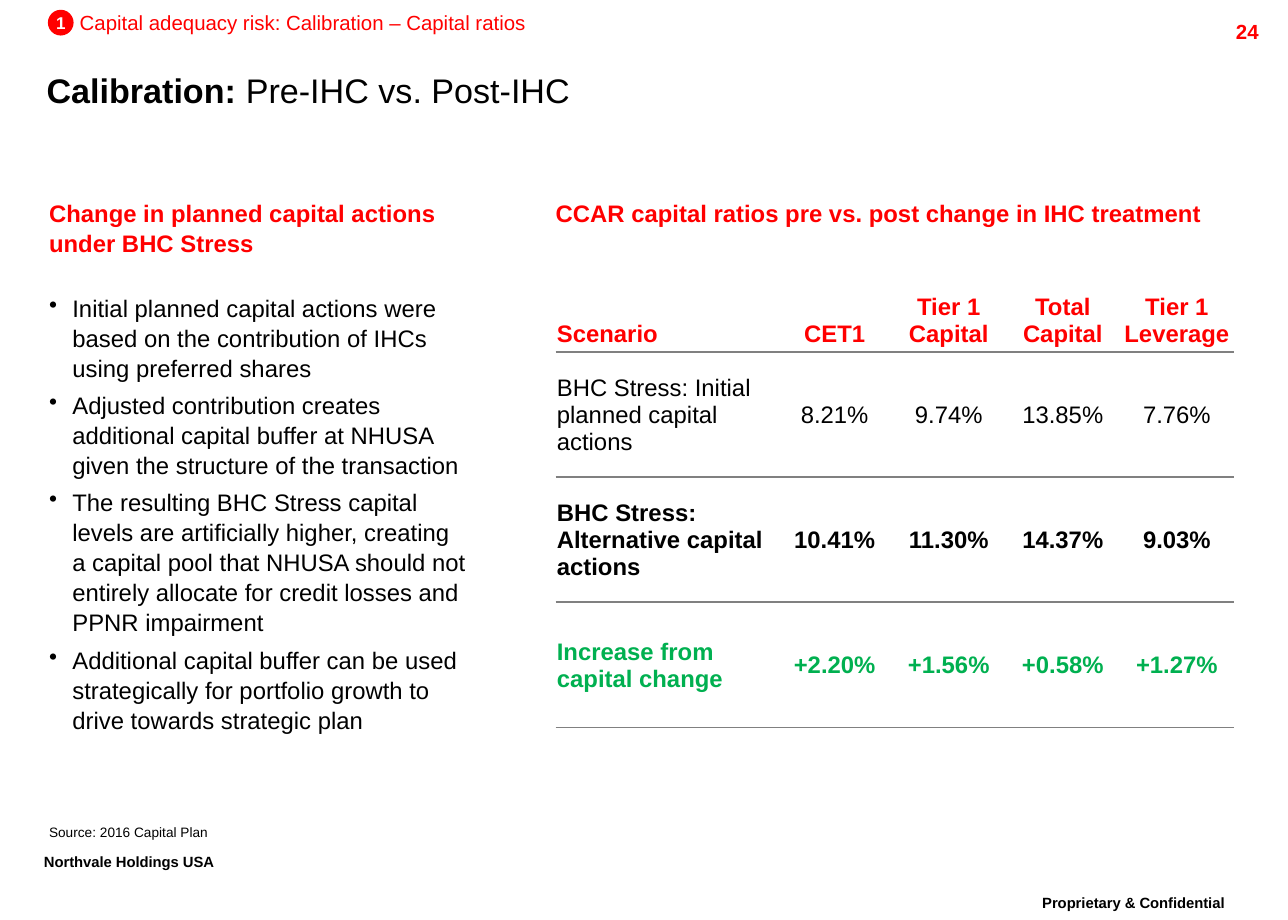
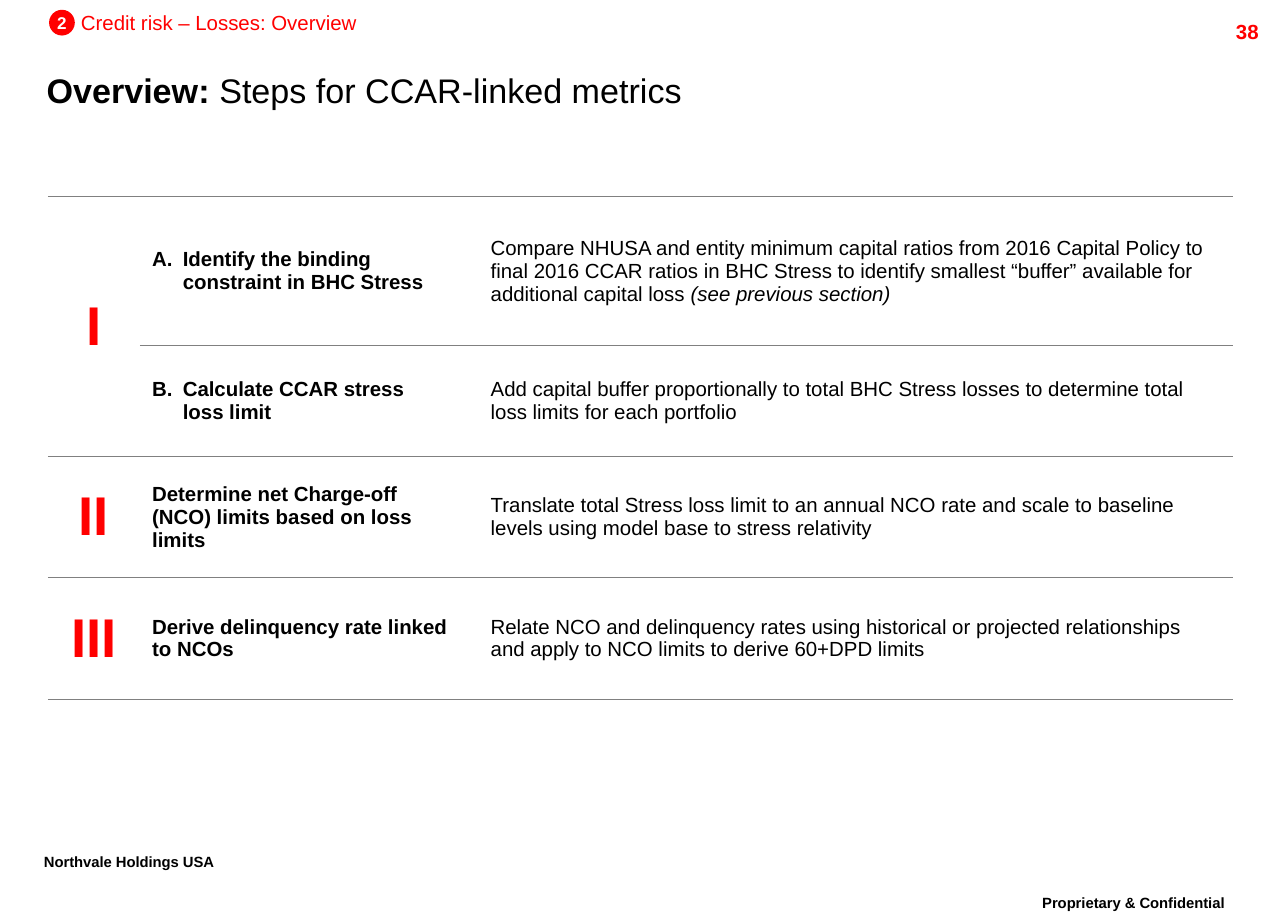
from lxml.etree import SubElement
from pptx import Presentation
from pptx.dml.color import RGBColor
from pptx.enum.shapes import MSO_SHAPE
from pptx.enum.text import MSO_ANCHOR, PP_ALIGN
from pptx.oxml.ns import qn
from pptx.table import _Cell
from pptx.util import Inches, Pt

RED = RGBColor(0xFF, 0x00, 0x00)
GREEN = RGBColor(0x00, 0xB0, 0x50)
BLACK = RGBColor(0x00, 0x00, 0x00)
WHITE = RGBColor(0xFF, 0xFF, 0xFF)
GREY = RGBColor(0x80, 0x80, 0x80)
FONT = "Arial"
NO_STYLE = "{2D5ABB26-0587-4C30-8999-92F81FD0307C}"
LEFT, CENTER, RIGHT = PP_ALIGN.LEFT, PP_ALIGN.CENTER, PP_ALIGN.RIGHT
TOP, MIDDLE, BOTTOM = MSO_ANCHOR.TOP, MSO_ANCHOR.MIDDLE, MSO_ANCHOR.BOTTOM


def write(part, *paragraphs, size=12, color=BLACK, bold=False, align=LEFT,
          anchor=TOP, margins=(0, 0, 0, 0), spacing=1.0, before=0, indent=0,
          hanging=0, bullet=None, raised=False, wrap=True):
    """Fill a shape or cell; a paragraph is a text or a list of (text, font settings)."""
    frame = part.text_frame
    holder = part if isinstance(part, _Cell) else frame
    holder.vertical_anchor = anchor
    (holder.margin_left, holder.margin_top,
     holder.margin_right, holder.margin_bottom) = map(Inches, margins)
    if holder is frame:
        frame.word_wrap = wrap
    for i, runs in enumerate(paragraphs):
        paragraph = frame.add_paragraph() if i else frame.paragraphs[0]
        paragraph.alignment, paragraph.line_spacing = align, spacing
        if i:
            paragraph.space_before = Pt(before)
        if indent:
            props = paragraph._p.get_or_add_pPr()
            props.set("marL", str(Inches(indent)))
            props.set("indent", str(-Inches(hanging)))
            if bullet:
                tag, settings = bullet
                SubElement(props, qn(tag), settings)
        for text, settings in [(runs, {})] if isinstance(runs, str) else runs:
            run = paragraph.add_run()
            run.text = text
            font = run.font
            font.name, font.size, font.bold = FONT, Pt(size), bold
            font.color.rgb = color
            for key, value in settings.items():
                setattr(font, key, value)
            if raised:
                run._r.get_or_add_rPr().set("baseline", "30000")


def add_grid(slide, left, top, widths, heights, line_width, unruled):
    """Add a plain table with a rule above every cell but the unruled ones, and one at the foot."""
    frame = slide.shapes.add_table(len(heights), len(widths), Inches(left), Inches(top),
                                   Inches(sum(widths)), Inches(sum(heights)))
    table = frame.table
    table.first_row = table.horz_banding = False
    table._tbl.tblPr.find(qn("a:tableStyleId")).text = NO_STYLE
    for column, width in zip(table.columns, widths):
        column.width = Inches(width)
    for r, height in enumerate(heights):
        table.rows[r].height = Inches(height)
        for c in range(len(widths)):
            cell = table.cell(r, c)
            edges = [] if (r, c) in unruled else ["a:lnT"]
            if r == len(heights) - 1:
                edges.append("a:lnB")
            for edge in edges:
                rule = SubElement(cell._tc.get_or_add_tcPr(), qn(edge),
                                  w=str(Pt(line_width)))
                fill = SubElement(rule, qn("a:solidFill"))
                SubElement(fill, qn("a:srgbClr"), val=str(GREY))
            cell.fill.background()
    return table


prs = Presentation()
prs.slide_width, prs.slide_height = Inches(10.5), Inches(7.5)

# Frame shared by both slides: section tag, page number, title, footers
pages = [
    ("1", "Capital adequacy risk: Calibration – Capital ratios", "24",
     "Calibration: ", "Pre-IHC vs. Post-IHC", 0.39),
    ("2", "Credit risk – Losses: Overview", "38",
     "Overview: ", "Steps for CCAR-linked metrics", 0.4),
]
PADDING = (0.1, 0.05, 0.1, 0.05)
slides = []
for number, section, page, lead, title, tag_left in pages:
    slide = prs.slides.add_slide(prs.slide_layouts[6])
    slides.append(slide)
    texts = [
        ((8.15, 7.25, 2.18, 0.35), "Proprietary & Confidential",
         dict(size=15, bold=True, align=CENTER, spacing=0.86, margins=PADDING, raised=True)),
        ((0.26, 6.91, 1.91, 0.35), "Northvale Holdings USA",
         dict(size=15, bold=True, spacing=0.86, margins=PADDING, raised=True)),
        ((9.36, 0.11, 1, 0.24), page,
         dict(color=RED, bold=True, align=RIGHT, margins=PADDING)),
        ((0.38, 0.49, 9.48, 0.48), [(lead, {"bold": True}), (title, {})],
         dict(size=20, anchor=MIDDLE)),
        ((tag_left + 0.26, 0.08, 4, 0.2), section, dict(color=RED)),
    ]
    for place, text, style in texts:
        write(slide.shapes.add_textbox(*map(Inches, place)), text, **style)
    badge = slide.shapes.add_shape(
        MSO_SHAPE.OVAL, *map(Inches, (tag_left, 0.08, 0.21, 0.21)))
    badge.shadow.inherit = False
    badge.fill.solid()
    badge.fill.fore_color.rgb = RED
    badge.line.fill.background()
    write(badge, number, size=10, color=WHITE, bold=True, align=CENTER,
          anchor=MIDDLE, wrap=False)

calibration, overview = slides

# Calibration: headings, source and bullets
headings = [
    ((0.4, 1.61, 3.61, 0.47), "Change in planned capital actions under BHC Stress"),
    ((4.53, 1.61, 5.52, 0.24), "CCAR capital ratios pre vs. post change in IHC treatment"),
]
for place, heading in headings:
    write(calibration.shapes.add_textbox(*map(Inches, place)), heading,
          size=14, color=RED, bold=True, spacing=1.05)
source_note = calibration.shapes.add_textbox(*map(Inches, (0.4, 6.72, 2, 0.13)))
write(source_note, "Source: 2016 Capital Plan", size=8)
capital_actions = calibration.shapes.add_textbox(*map(Inches, (0.4, 2.38, 3.4, 3.51)))
write(
    capital_actions,
    "Initial planned capital actions were based on the contribution of IHCs "
    "using preferred shares",
    "Adjusted contribution creates additional capital buffer at NHUSA given the "
    "structure of the transaction",
    "The resulting BHC Stress capital levels are artificially higher, creating a capital "
    "pool that NHUSA should not entirely allocate for credit losses and PPNR impairment",
    "Additional capital buffer can be used strategically for portfolio growth to drive "
    "towards strategic plan",
    size=14, spacing=1.05, before=4.2, indent=0.19, hanging=0.19,
    bullet=("a:buChar", {"char": "•"}))

# Calibration: capital ratios
ratio_rows = [
    (("Scenario", "CET1", "Tier 1 Capital", "Total Capital", "Tier 1 Leverage"),
     dict(color=RED, bold=True, anchor=BOTTOM)),
    (("BHC Stress: Initial planned capital actions", "8.21%", "9.74%", "13.85%", "7.76%"),
     dict(anchor=MIDDLE)),
    (("BHC Stress: Alternative capital actions", "10.41%", "11.30%", "14.37%", "9.03%"),
     dict(bold=True, anchor=MIDDLE)),
    (("Increase from capital change", "+2.20%", "+1.56%", "+0.58%", "+1.27%"),
     dict(color=GREEN, bold=True, anchor=MIDDLE)),
]
ratios = add_grid(calibration, 4.53, 2.31, [1.81] + [0.93] * 4, [0.56] + [1.02] * 3, 1,
                  unruled=[(0, c) for c in range(5)])
for r, (values, style) in enumerate(ratio_rows):
    for c, value in enumerate(values):
        write(ratios.cell(r, c), value, size=14, align=CENTER if c else LEFT,
              margins=(0.01, 0.05, 0.01, 0.04), **style)

# Overview: steps, of which the first has two parts
step_rows = [
    ("I", "Identify the binding constraint in BHC Stress",
     [("Compare NHUSA and entity minimum capital ratios from 2016 Capital Policy to final "
       "2016 CCAR ratios in BHC Stress to identify smallest “buffer” available for "
       "additional capital loss ", {}),
      ("(see previous section)", {"italic": True})], 1),
    (None, "Calculate CCAR stress loss limit",
     "Add capital buffer proportionally to total BHC Stress losses to determine total loss "
     "limits for each portfolio", 2),
    ("II", "Determine net Charge-off (NCO) limits based on loss limits",
     "Translate total Stress loss limit to an annual NCO rate and scale to baseline levels "
     "using model base to stress relativity", None),
    ("III", "Derive delinquency rate linked to NCOs",
     "Relate NCO and delinquency rates using historical or projected relationships and "
     "apply to NCO limits to derive 60+DPD limits", None),
]
steps = add_grid(overview, 0.39, 1.6, [0.75, 2.63, 6.28], [1.22, 0.9, 0.99, 0.99], 0.75,
                 unruled=[(1, 0)])
steps.cell(0, 0).merge(steps.cell(1, 0))
STEP_MARGINS = (0.1, 0.09, 0.1, 0.09)
for r, (numeral, step, detail, letter) in enumerate(step_rows):
    if numeral:
        write(steps.cell(r, 0), numeral, size=32, color=RED, bold=True, align=CENTER,
              anchor=MIDDLE, margins=PADDING)
    lettering = {}
    if letter:
        numbering = {"type": "alphaUcPeriod", "startAt": str(letter)}
        lettering = dict(indent=0.25, hanging=0.25, bullet=("a:buAutoNum", numbering))
    write(steps.cell(r, 1), step, bold=True, anchor=MIDDLE, margins=STEP_MARGINS, **lettering)
    write(steps.cell(r, 2), detail, anchor=MIDDLE, margins=STEP_MARGINS, indent=0.13)

prs.save("out.pptx")
